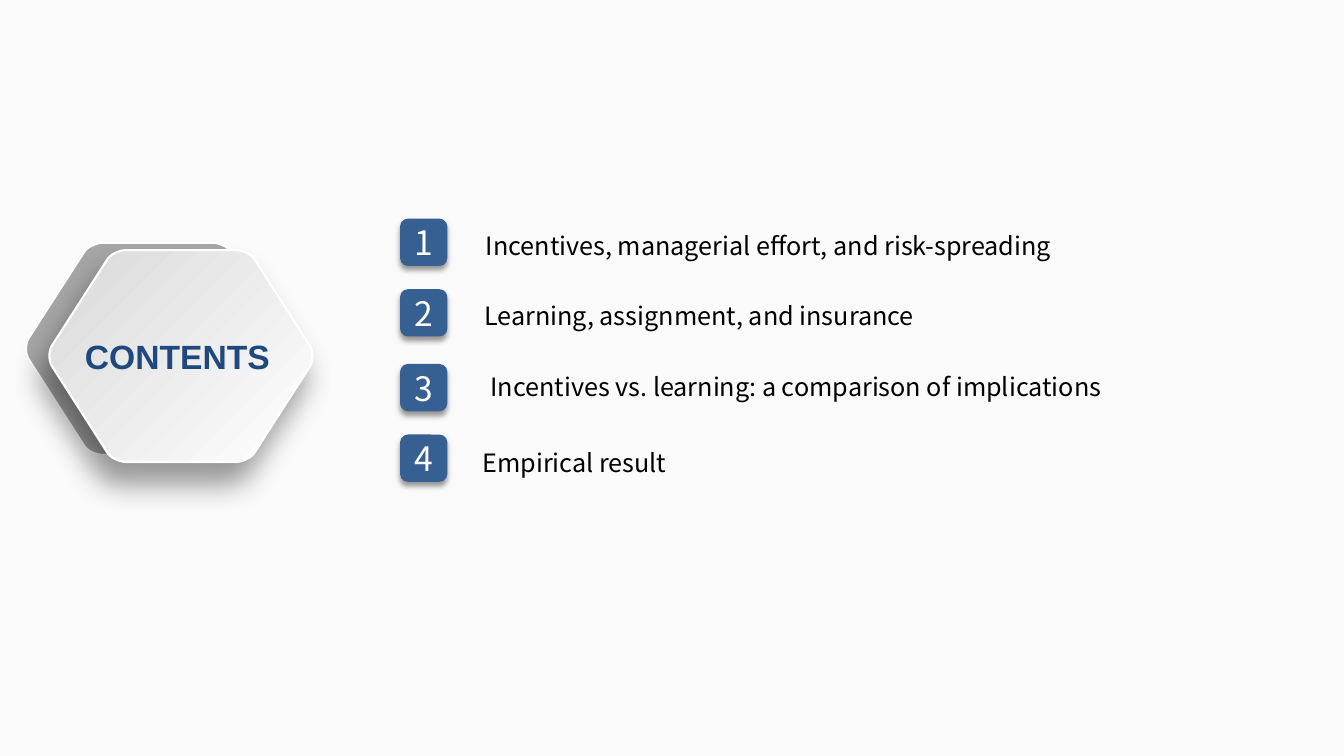
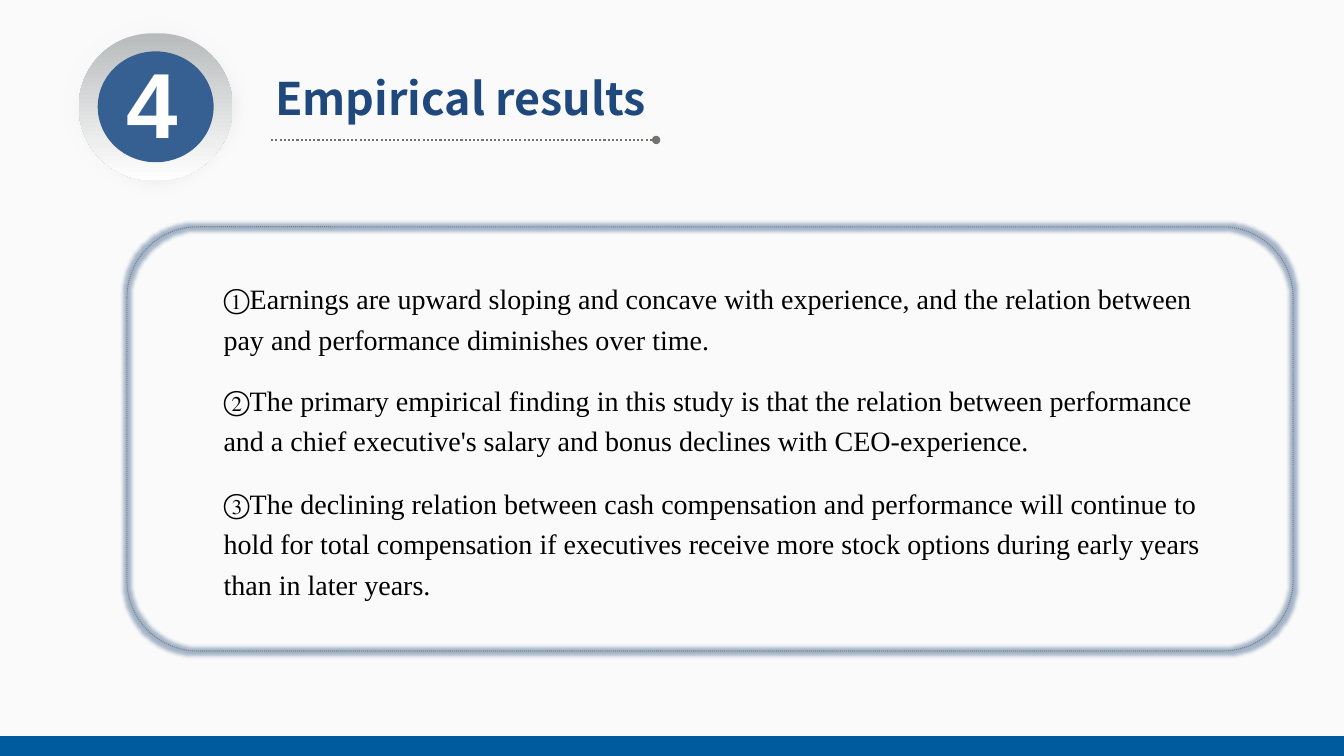
from lxml import etree
from pptx import Presentation
from pptx.dml.color import RGBColor
from pptx.enum.dml import MSO_LINE
from pptx.enum.shapes import MSO_CONNECTOR, MSO_SHAPE
from pptx.enum.text import MSO_ANCHOR, PP_ALIGN
from pptx.oxml.ns import qn
from pptx.util import Pt

RECT, ROUNDED, OVAL = MSO_SHAPE.RECTANGLE, MSO_SHAPE.ROUNDED_RECTANGLE, MSO_SHAPE.OVAL
LEFT, CENTER = PP_ALIGN.LEFT, PP_ALIGN.CENTER
TOP, MIDDLE = MSO_ANCHOR.TOP, MSO_ANCHOR.MIDDLE
DOTTED = MSO_LINE.ROUND_DOT
STRAIGHT = MSO_CONNECTOR.STRAIGHT

SANS, SERIF, DISPLAY = "Noto Sans CJK SC", "Times New Roman", "Arial"
NAVY, BLUE, BAND_BLUE = "1F497D", "376092", "005A9E"
BLACK, WHITE, SILVER = "000000", "FFFFFF", "D9D9D9"
PAGE_WIDTH, PAGE_HEIGHT = 960, 540
HEX_WIDTH, HEX_HEIGHT = 189.4, 151.4
# Cubic control points of two corners, clockwise, from the hexagon's top left.
LEFT_CORNER = [(2.9, 83.5), (0, 79.2), (0, 72), (2.9, 67.7)]
TOP_LEFT_CORNER = [(41.8, 7.2), (44, 2.9), (51.1, 0), (56, 0)]

CONTENTS = [  # text, left, top, width, badge top
    ("Incentives, managerial effort, and risk-spreading", 332, 160.6, 434, 156.2),
    ("Learning, assignment, and insurance", 331, 211, 337, 206.6),
    ("Incentives vs. learning: a comparison of implications", 335, 262, 467, 260),
    ("Empirical result", 334, 316, 152.6, 310.4),
]
FINDINGS = [  # text, top, width, height
    ("①Earnings are upward sloping and concave with experience, and the relation "
     "between pay and performance diminishes over time.", 193, 723.6, 62.6),
    ("②The primary empirical finding in this study is that the relation between "
     "performance and a chief executive's salary and bonus declines with "
     "CEO-experience.", 265.7, 717, 62.6),
    ("③The declining relation between cash compensation and performance will "
     "continue to hold for total compensation if executives receive more stock "
     "options during early years than in later years.", 339.1, 730, 92.2),
]


def color(value):
    """Turn a hex string into a colour."""
    return RGBColor.from_string(value)


def add_xml(parent, tag, **attributes):
    """Append a DrawingML element and return it."""
    values = {name: str(value) for name, value in attributes.items()}
    return etree.SubElement(parent, qn(tag), values)


def add_effect(shape, tag, tint=None, alpha=100, **attributes):
    """Give a shape one effect, tinted if a colour is given."""
    effects = shape._element.spPr.find(qn("a:effectLst"))
    effect = add_xml(effects, tag, **attributes)
    if tint:
        tone = add_xml(effect, "a:srgbClr", val=tint)
        add_xml(tone, "a:alpha", val=alpha * 1000)


def add_shadow(shape, blur, distance, direction):
    """Give a shape a soft black outer shadow."""
    add_effect(shape, "a:outerShdw", BLACK, 40, blurRad=Pt(blur), dist=Pt(distance),
               dir=direction * 60000, algn="ctr", rotWithShape=0)


def set_gradient(fill, first, last, angle):
    """Fill with two colours, the angle in degrees clockwise."""
    fill.gradient()
    fill.gradient_angle = (360 - angle) % 360
    for stop, tone in zip(fill.gradient_stops, (first, last)):
        stop.color.rgb = color(tone)


def style_shape(shape, fill=None, line=None, weight=1):
    """Set a plain or two-colour fill and an outline; drop the theme shadow."""
    shape.shadow.inherit = False
    if fill is None:
        shape.fill.background()
    elif isinstance(fill, str):
        shape.fill.solid()
        shape.fill.fore_color.rgb = color(fill)
    else:
        set_gradient(shape.fill, *fill)
    if line is None:
        shape.line.fill.background()
    else:
        shape.line.color.rgb = color(line)
        shape.line.width = Pt(weight)


def add_figure(page, kind, left, top, width, height, fill=None, line=None, weight=1):
    """Add a styled preset shape."""
    shape = page.shapes.add_shape(kind, Pt(left), Pt(top), Pt(width), Pt(height))
    style_shape(shape, fill, line, weight)
    return shape


def write(shape, text, size, font, tone, bold=False, align=LEFT, anchor=TOP,
          wrap=True, spacing=1.0):
    """Write one paragraph into a shape."""
    frame = shape.text_frame
    frame.word_wrap = wrap
    frame.vertical_anchor = anchor
    para = frame.paragraphs[0]
    para.text = text
    para.alignment = align
    para.line_spacing = spacing
    para.font.size = Pt(size)
    para.font.name = font
    para.font.bold = bold
    para.font.color.rgb = color(tone)


def add_text(page, text, left, top, width, height, *style, **options):
    """Add a text box."""
    box = page.shapes.add_textbox(Pt(left), Pt(top), Pt(width), Pt(height))
    write(box, text, *style, **options)


def curve(controls, steps=10):
    """Sample a cubic curve."""
    points = []
    for step in range(steps + 1):
        t = step / steps
        weights = ((1 - t) ** 3, 3 * t * (1 - t) ** 2, 3 * t * t * (1 - t), t ** 3)
        points.append(tuple(sum(w * point[axis] for w, point in zip(weights, controls))
                            for axis in (0, 1)))
    return points


def add_hexagon(page, left, top, fill, line, weight):
    """Add a round-cornered hexagon; its lower right half is the other half turned."""
    top_left = curve(TOP_LEFT_CORNER)
    top_right = [(HEX_WIDTH - x, y) for x, y in reversed(top_left)]
    half = curve(LEFT_CORNER) + top_left + top_right
    outline = half + [(HEX_WIDTH - x, HEX_HEIGHT - y) for x, y in half]
    # The turned half holds right, bottom right and bottom left corners.
    points = [(Pt(left + x), Pt(top + y)) for x, y in outline]
    builder = page.shapes.build_freeform(*points[0], scale=1.0)
    builder.add_line_segments(points[1:], close=True)
    shape = builder.convert_to_shape()
    style_shape(shape, fill, line, weight)
    return shape


def add_badge(page, number, top):
    """Add a numbered square."""
    badge = add_figure(page, ROUNDED, 285.8, top, 33.8, 33.8, BLUE)
    add_shadow(badge, 4, 3, 90)
    frame = badge.text_frame
    frame.margin_left = frame.margin_right = 0
    write(badge, str(number), 24, SANS, WHITE, align=CENTER, anchor=MIDDLE)


def add_title_rule(page, left, right, top):
    """Add the dotted line with a round end under a title."""
    rule = page.shapes.add_connector(STRAIGHT, Pt(left), Pt(top), Pt(right), Pt(top))
    rule.line.color.rgb = color("767171")
    rule.line.width = Pt(1.5)
    rule.line.dash_style = DOTTED
    properties = rule._element.spPr
    add_xml(properties.find(qn("a:ln")), "a:tailEnd", type="oval")
    add_xml(properties, "a:effectLst")


def add_header(page, number, title):
    """Add the numbered disc, the title and its rule."""
    add_title_rule(page, 193.7, 468.7, 100)
    add_text(page, title, 189.4, 46.8, 282.2, 46, 32, SANS, NAVY, bold=True, wrap=False)
    halo = add_figure(page, OVAL, 42.5, 10, 137.5, 131.8, (WHITE, SILVER, 45))
    add_effect(halo, "a:softEdge", rad=Pt(12.5))
    ring = add_figure(page, ROUNDED, 56.2, 23.8, 110, 105, ("B8BBBC", WHITE, 90))
    ring.adjustments[0] = 0.5
    add_figure(page, OVAL, 69.8, 36.7, 82.8, 79.2, BLUE)
    add_text(page, str(number), 83.5, 29.5, 47.5, 87, 66, DISPLAY, WHITE,
             bold=True, wrap=False)


def add_page(deck):
    """Add a blank page with the shared background."""
    page = deck.slides.add_slide(deck.slide_layouts[6])
    set_gradient(page.background.fill, "FAFAFA", "FCFCFC", 90)
    return page


def build_contents(deck):
    """Build the contents page."""
    page = add_page(deck)
    add_hexagon(page, 18, 173.5, "A6A6A6", WHITE, 1.25)
    front = add_hexagon(page, 34.6, 178.6, (SILVER, WHITE, 45), WHITE, 1.5)
    add_shadow(front, 21, 16, 113)
    add_text(page, "CONTENTS", 51.8, 234, 149.8, 41, 24, DISPLAY, NAVY,
             bold=True, align=CENTER, anchor=MIDDLE)
    for number, (text, left, top, width, badge_top) in enumerate(CONTENTS, 1):
        add_badge(page, number, badge_top)
        add_text(page, text, left, top, width, 29, 18, SANS, BLACK,
                 align=CENTER, wrap=False)


def build_results(deck):
    """Build the results page."""
    page = add_page(deck)
    add_figure(page, RECT, 0, 525.8, PAGE_WIDTH, PAGE_HEIGHT - 525.8, BAND_BLUE)
    add_header(page, 4, "Empirical results")
    panel = add_figure(page, ROUNDED, 90.7, 162, 833, 303, line="808080", weight=0.75)
    panel.line.dash_style = DOTTED
    add_effect(panel, "a:glow", NAVY, 40, rad=Pt(5))
    for text, top, width, height in FINDINGS:
        add_text(page, text, 152.6, top, width, height, 20, SERIF, BLACK, spacing=1.2)


def main():
    """Build and save the deck."""
    deck = Presentation()
    deck.slide_width, deck.slide_height = Pt(PAGE_WIDTH), Pt(PAGE_HEIGHT)
    build_contents(deck)
    build_results(deck)
    deck.save("out.pptx")


main()
